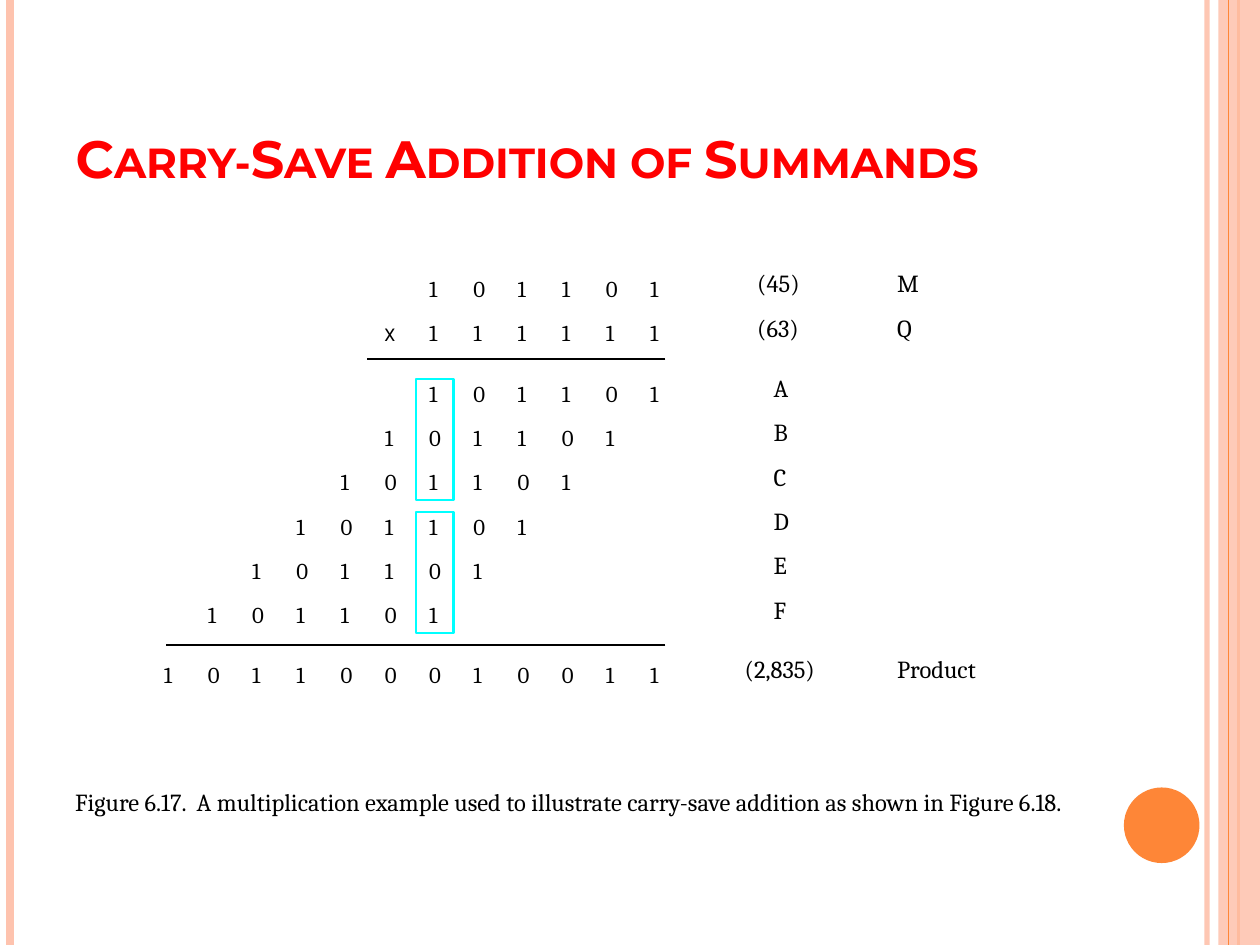
from lxml.etree import SubElement
from pptx import Presentation
from pptx.dml.color import RGBColor
from pptx.enum.shapes import MSO_CONNECTOR as Connector, MSO_SHAPE as Shape
from pptx.enum.text import MSO_ANCHOR as Anchor, MSO_AUTO_SIZE as AutoSize, PP_ALIGN as Align
from pptx.oxml.ns import qn
from pptx.util import Inches, Pt

COLORS = {"title": "FF0000", "ink": "000000", "peach": "FEC3AE",
          "orange": "FE8637", "group": "00FFFF"}
DIGIT_WIDTH = 0.1
COLUMN_STEP = 0.351
ROW_STEP = 0.352

# bits, columns shifted left, (label, left, width), (name, width)
FACTORS = [
    ("101101", 0, ("(45)", 4.71, 0.34), ("M", 0.16)),
    ("111111", 0, ("(63)", 4.71, 0.34), ("Q", 0.15)),
]
SUMMANDS = [("101101", shift, (letter, 4.84, 0.13), None)
            for shift, letter in enumerate("ABCDEF")]
PRODUCT = [("101100010011", 0, ("(2,835)", 4.61, 0.61), ("Product", 0.67))]


def rgb(name):
    return RGBColor.from_string(COLORS[name])


def set_alpha(fill_owner, percent):
    """Make the solid colour inside an XML element partly transparent."""
    color = next(fill_owner.iter(qn("a:srgbClr")))
    SubElement(color, qn("a:alpha")).set("val", str(percent * 1000))


def add_line(slide, start, end, color, width, alpha=None):
    line = slide.shapes.add_connector(
        Connector.STRAIGHT, *(Inches(v) for v in (*start, *end)))
    line.line.color.rgb = rgb(color)
    line.line.width = Pt(width)
    properties = line._element.spPr
    if alpha:
        set_alpha(properties, alpha)
    SubElement(properties, qn("a:effectLst"))


def add_block(slide, preset, box, fill=None, outline=None):
    block = slide.shapes.add_shape(preset, *(Inches(v) for v in box))
    block.shadow.inherit = False
    if fill:
        block.fill.solid()
        block.fill.fore_color.rgb = rgb(fill)
    else:
        block.fill.background()
    if outline:
        block.line.color.rgb = rgb(outline)
        block.line.width = Pt(1.38)
    else:
        block.line.fill.background()
    return block


def add_label(slide, text, box, size=14, font="Cambria", align=Align.LEFT):
    frame = slide.shapes.add_textbox(*(Inches(v) for v in box)).text_frame
    frame.margin_left = frame.margin_right = frame.margin_top = frame.margin_bottom = 0
    frame.word_wrap = False
    frame.auto_size = AutoSize.SHAPE_TO_FIT_TEXT
    frame.text = text
    paragraph = frame.paragraphs[0]
    paragraph.alignment = align
    style = paragraph.runs[0].font
    style.name, style.size, style.color.rgb = font, Pt(size), rgb("ink")


def add_frame(slide, width, height):
    """Draw the stripes along both sides and the dot at the lower right."""
    band_width = 0.33
    add_line(slide, (width - 0.42, 0), (width - 0.42, height), "peach", 3, 93)
    add_line(slide, (0.08, 0), (0.08, height), "peach", 4.5)
    add_line(slide, (width - 0.17, 0), (width - 0.17, height), "orange", 1.5)
    band = add_block(slide, Shape.RECTANGLE,
                     (width - band_width, 0, band_width, height), "peach")
    set_alpha(band._element.spPr, 87)
    add_line(slide, (width - 0.25, 0), (width - 0.25, height), "orange", 0.75)
    add_block(slide, Shape.OVAL, (width - 1.08, height - 1.25, 0.6, 0.6), "orange")


def set_title(slide, text, box):
    title = slide.shapes.title
    title.left, title.top, title.width, title.height = (Inches(v) for v in box)
    frame = title.text_frame
    frame.text = text
    frame.vertical_anchor = Anchor.BOTTOM
    paragraph = frame.paragraphs[0]
    paragraph.alignment = Align.LEFT
    run = paragraph.runs[0]
    run.font.name, run.font.size, run.font.bold = "Montserrat", Pt(30), True
    run.font.color.rgb = rgb("title")
    run._r.get_or_add_rPr().set("cap", "small")


def add_row(slide, left, top, row):
    """Write one number, right-aligned on the bit columns, with its labels."""
    bits, shift, (label, label_left, label_width), name = row
    for place, bit in enumerate(reversed(bits), start=shift):
        bit_left = left + (11 - place) * COLUMN_STEP
        add_label(slide, bit, (bit_left, top, DIGIT_WIDTH, 0.22), 13)
    label_top = top - 0.05
    add_label(slide, label, (left + label_left, label_top, label_width, 0.23))
    if name:
        text, width = name
        add_label(slide, text, (left + 5.82, label_top, width, 0.23))


def add_multiplication(slide, left, top):
    """Lay out factors, summands and product below each other."""
    summands_top = top + 0.83
    for rows, first_top in ((FACTORS, top), (SUMMANDS, summands_top),
                            (PRODUCT, top + 3.06)):
        for index, row in enumerate(rows):
            add_row(slide, left, first_top + index * ROW_STEP, row)
    add_label(slide, "X", (left + 1.75, top + 0.39, 0.09, 0.17), 10, "Roboto")

    rule_end = left + 3.98
    for rule_start, rule_top in ((left + 1.61, top + 0.67), (left + 0.02, top + 2.94)):
        add_line(slide, (rule_end, rule_top), (rule_start, rule_top), "ink", 1.38)
    for group in range(2):
        group_top = summands_top + group * 3 * ROW_STEP
        add_block(slide, Shape.RECTANGLE, (left + 2, group_top, 0.3, 0.96),
                  outline="group")


def main():
    width, height = 10, 7.5
    deck = Presentation()
    deck.slide_width, deck.slide_height = Inches(width), Inches(height)
    slide = deck.slides.add_slide(deck.slide_layouts.get_by_name("Title Only"))
    add_frame(slide, width, height)
    set_title(slide, "Carry-Save Addition of Summands", (0.5, 0.3, 8.17, 1.25))
    add_label(slide, "Figure 6.17.  A multiplication example used to illustrate "
              "carry-save addition as shown in Figure 6.18.",
              (0.24, 6.25, 8.55, 0.23), align=Align.CENTER)
    add_multiplication(slide, 1.3, 2.18)
    deck.save("out.pptx")


if __name__ == "__main__":
    main()
